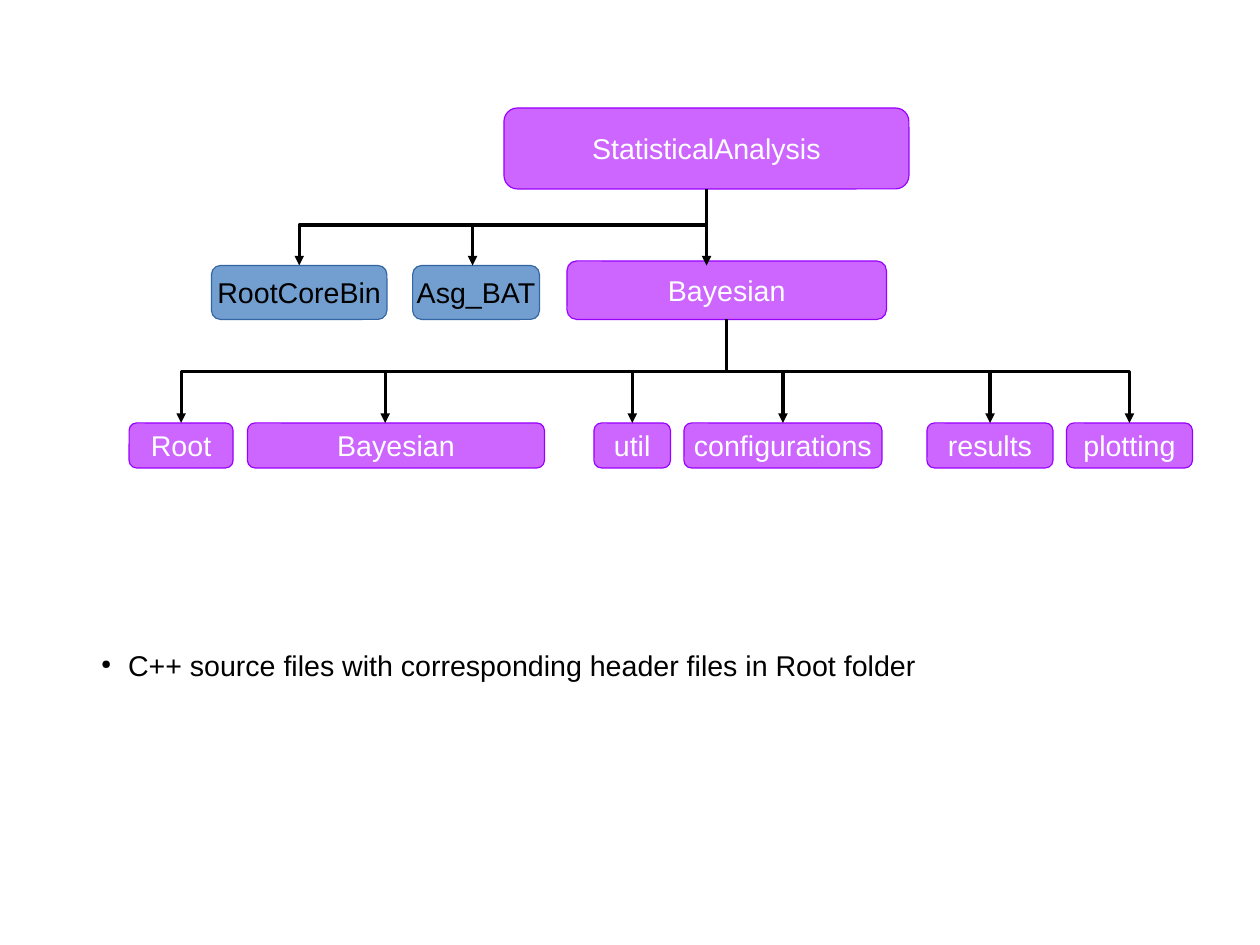
import pptx
import pptx.dml.color
import pptx.enum.shapes
import pptx.enum.text
import pptx.oxml
import pptx.oxml.ns
import pptx.util

Cm, Pt = pptx.util.Cm, pptx.util.Pt
SHAPE = pptx.enum.shapes.MSO_SHAPE
CONNECTOR = pptx.enum.shapes.MSO_CONNECTOR
ANCHOR = pptx.enum.text.MSO_ANCHOR
CENTER = pptx.enum.text.PP_ALIGN.CENTER

THEME = {
    "font": "Arial", "size": 18, "hairline": 0, "edge": "000000",
    # fill, outline, text
    "package": ("CC66FF", "9900FF", "FFFFFF"),
    "external": ("729FCF", "3465A4", "000000"),
    "note": ("FFFFFF", "FFFFFF", "000000"),
}

# Lengths in cm. Folder: label, style, left, width, arrow x (None: folder centre)
TOP = ("StatisticalAnalysis", "package", 11.2, 9.0, None)
BAYESIAN = ("Bayesian", "package", 12.6, 7.1, 15.7)
DEPENDENCIES = [
    ("RootCoreBin", "external", 4.7, 3.9, None),
    ("Asg_BAT", "external", 9.17, 2.82, 10.5),
]
SUBFOLDERS = [
    ("Root", "package", 2.87, 2.31, None),
    ("Bayesian", "package", 5.5, 6.6, 8.56),
    ("util", "package", 13.2, 1.7, None),
    ("configurations", "package", 15.2, 4.4, None),
    ("results", "package", 20.6, 2.8, None),
    ("plotting", "package", 23.7, 2.8, None),
]
# Level: top, height, folders
LEVELS = [
    (2.4, 1.8, [TOP]),
    (5.8, 1.3, [BAYESIAN]),
    (5.9, 1.2, DEPENDENCIES),
    (9.4, 1.0, SUBFOLDERS),
]
# Branch: parent, parent bottom, rail y, arrow tip y, children
BRANCHES = [
    (TOP, 4.2, 5.0, 5.9, DEPENDENCIES + [BAYESIAN]),
    (BAYESIAN, 7.1, 8.25, 9.4, SUBFOLDERS),
]
NOTE = "C++ source files with corresponding header files in Root folder"
NOTE_BOX = (8.8, 14.4, 5.0, 1.4)
BULLET = {"char": "●", "color": "000000", "percent": 45, "indent": 0.6}


def rgb(value):
    return pptx.dml.color.RGBColor.from_string(value)


def append_xml(parent, xml):
    declared = xml.replace("/>", f' {pptx.oxml.ns.nsdecls("a")}/>', 1)
    parent.append(pptx.oxml.parse_xml(declared))


def center_x(folder):
    return folder[2] + folder[3] / 2


def landing_x(folder):
    return center_x(folder) if folder[4] is None else folder[4]


def add_label(slide, preset, box, style, label, frame_format, bullet=None):
    fill, outline, ink = THEME[style]
    shape = slide.shapes.add_shape(preset, *map(Cm, box))
    shape.shadow.inherit = False
    shape.fill.solid()
    shape.fill.fore_color.rgb = rgb(fill)
    shape.line.color.rgb = rgb(outline)
    shape.line.width = Pt(THEME["hairline"])
    frame = shape.text_frame
    for name, value in {"word_wrap": False, **frame_format}.items():
        setattr(frame, name, value)
    paragraph = frame.paragraphs[0]
    paragraph.alignment = CENTER
    if bullet:
        add_bullet(paragraph, bullet)
    run = paragraph.add_run()
    run.text = label
    for name, value in {"name": THEME["font"], "size": Pt(THEME["size"])}.items():
        setattr(run.font, name, value)
    run.font.color.rgb = rgb(ink)


def add_bullet(paragraph, bullet):
    properties = paragraph._p.get_or_add_pPr()
    properties.set("marL", str(Cm(bullet["indent"])))
    properties.set("indent", str(-Cm(bullet["indent"])))
    color = pptx.oxml.parse_xml(
        f'<a:buClr {pptx.oxml.ns.nsdecls("a")}>'
        f'<a:srgbClr val="{bullet["color"]}"/></a:buClr>')
    properties.append(color)
    append_xml(properties, f'<a:buSzPct val="{bullet["percent"] * 1000}"/>')
    append_xml(properties, f'<a:buChar char="{bullet["char"]}"/>')


def add_arrow(slide, kind, start, end):
    arrow = slide.shapes.add_connector(kind, *map(Cm, start + end))
    arrow.line.color.rgb = rgb(THEME["edge"])
    arrow.line.width = Pt(THEME["hairline"])
    append_xml(arrow.line._get_or_add_ln(), '<a:tailEnd type="triangle"/>')
    append_xml(arrow._element.spPr, "<a:effectLst/>")
    return arrow


def add_elbow(slide, start, end, rail):
    """Elbow leaving downwards: a sideways elbow turned a quarter about its centre."""
    (x1, y1), (x2, y2) = start, end
    middle_x, middle_y = (x1 + x2) / 2, (y1 + y2) / 2
    half_drop, half_span = (y2 - y1) / 2, abs(x2 - x1) / 2
    rightwards = x2 > x1
    side = half_drop if rightwards else -half_drop
    elbow = add_arrow(slide, CONNECTOR.ELBOW,
                      (middle_x + side, middle_y - half_span),
                      (middle_x - side, middle_y + half_span))
    properties = elbow._element.spPr
    turn = 270 if rightwards else 90
    properties.find(pptx.oxml.ns.qn("a:xfrm")).set("rot", str(turn * 60000))
    bend = round((rail - y1) / (y2 - y1) * 100000)
    guides = properties.find(".//" + pptx.oxml.ns.qn("a:avLst"))
    append_xml(guides, f'<a:gd name="adj1" fmla="val {bend}"/>')


def add_branch(slide, parent, bottom, rail, tip, children):
    """Elbows reach the children beyond the parent's ends; drops reach the rest."""
    trunk = center_x(parent)
    landings = sorted(landing_x(child) for child in children)
    outer = [x for x in (landings[0], landings[-1]) if x != trunk]
    for x in landings:
        if x in outer:
            add_elbow(slide, (trunk, bottom), (x, tip), rail)
        else:
            add_arrow(slide, CONNECTOR.STRAIGHT, (x, rail), (x, tip))


def main():
    deck = pptx.Presentation()
    deck.slide_width, deck.slide_height = Cm(28), Cm(21)
    slide = deck.slides.add_slide(deck.slide_layouts[6])
    for top, height, folders in LEVELS:
        for label, style, left, width, _ in folders:
            add_label(slide, SHAPE.ROUNDED_RECTANGLE, (left, top, width, height),
                      style, label, {"vertical_anchor": ANCHOR.MIDDLE})
    add_label(slide, SHAPE.RECTANGLE, NOTE_BOX, "note", NOTE,
              {"vertical_anchor": ANCHOR.TOP, "margin_top": 0}, BULLET)
    for branch in BRANCHES:
        add_branch(slide, *branch)
    deck.save("out.pptx")


if __name__ == "__main__":
    main()
